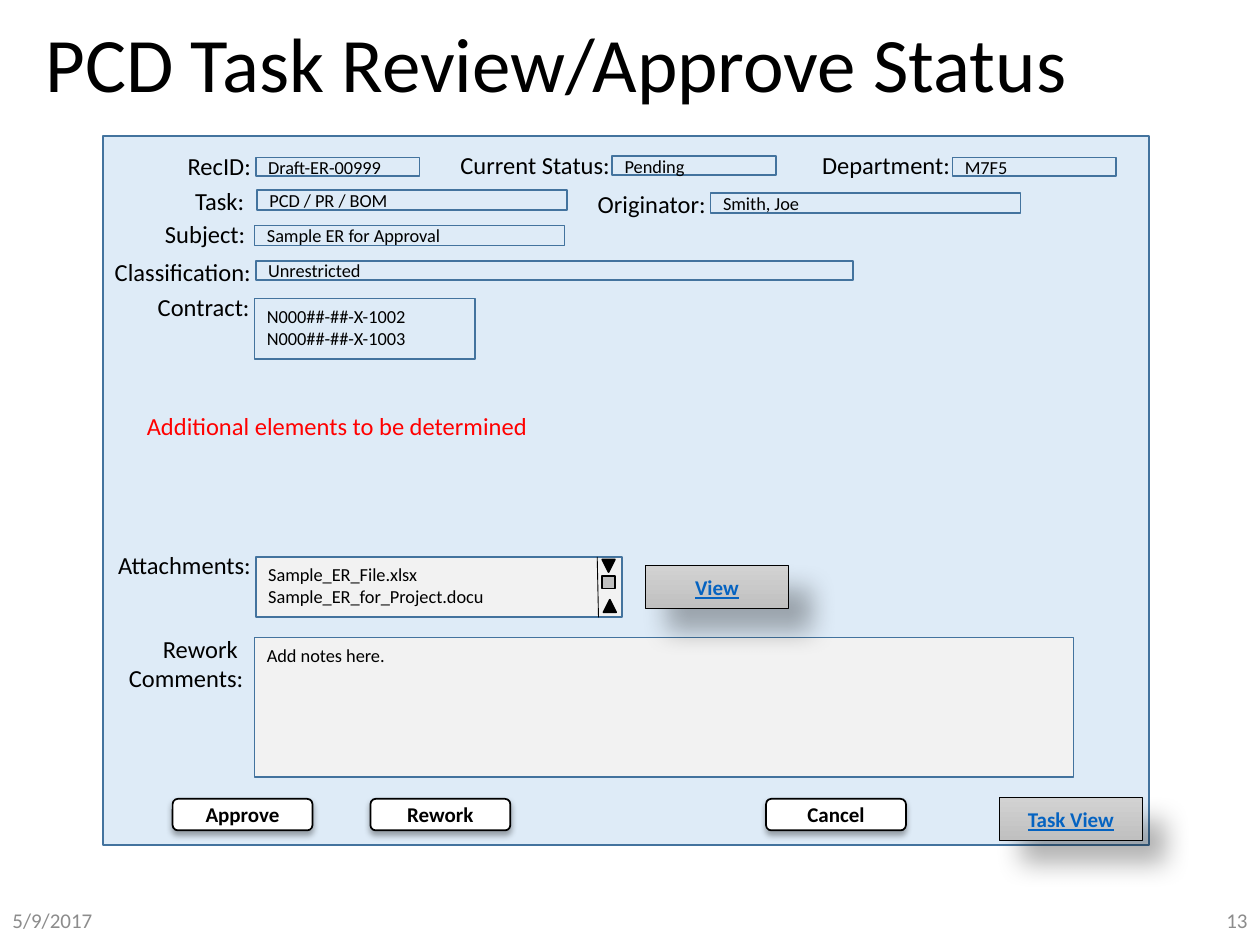
from lxml import etree
from pptx import Presentation
from pptx.dml.color import RGBColor
from pptx.enum.shapes import MSO_CONNECTOR, MSO_SHAPE
from pptx.enum.text import MSO_ANCHOR, PP_ALIGN
from pptx.oxml.ns import qn
from pptx.util import Inches, Pt

RECT, ROUND = MSO_SHAPE.RECTANGLE, MSO_SHAPE.ROUNDED_RECTANGLE
ACTION, ARROW = MSO_SHAPE.ACTION_BUTTON_CUSTOM, MSO_SHAPE.ISOSCELES_TRIANGLE
KNOB = MSO_SHAPE.FLOWCHART_PROCESS
LEFT, MID, RIGHT = PP_ALIGN.LEFT, PP_ALIGN.CENTER, PP_ALIGN.RIGHT
TOP, CENTER = MSO_ANCHOR.TOP, MSO_ANCHOR.MIDDLE

BLACK = RGBColor(0x00, 0x00, 0x00)
WHITE = RGBColor(0xFF, 0xFF, 0xFF)
PALE = RGBColor(0xDE, 0xEB, 0xF7)
BLUE = RGBColor(0x43, 0x73, 0x9E)
LINK = RGBColor(0x05, 0x63, 0xC1)
RED = RGBColor(0xFF, 0x00, 0x00)
MIST = RGBColor(0xF2, 0xF2, 0xF2)
GRAY = RGBColor(0x8C, 0x8C, 0x8C)
STEEL = RGBColor(0xBF, 0xBF, 0xBF)
LIGHT = RGBColor(0xD2, 0xD2, 0xD2)
DARK = RGBColor(0xC0, 0xC0, 0xC0)

deck = Presentation()
deck.slide_width, deck.slide_height = Inches(10), Inches(7.5)
COL, ROW = deck.slide_width / 100, deck.slide_height / 75
slide = deck.slides.add_slide(deck.slide_layouts[5])
shapes = slide.shapes


def put(kind, at, text="", fill=None, line=None, size=10.5, color=BLACK,
        align=LEFT, anchor=CENTER, bold=False, wrap=True):
    x, y, w, h = at
    area = [int(v) for v in (x * COL, y * ROW, w * COL, h * ROW)]
    if kind is None:
        shape = shapes.add_textbox(*area)
    else:
        shape = shapes.add_shape(kind, *area)
        shape.shadow.inherit = False
        if line is None:
            shape.line.fill.background()
        else:
            shape.line.color.rgb = line
            shape.line.width = Pt(1)
        if fill is None:
            shape.fill.background()
        else:
            shape.fill.solid()
            shape.fill.fore_color.rgb = fill
    if text:
        frame = shape.text_frame
        frame.text = text
        frame.word_wrap = wrap
        frame.vertical_anchor = anchor
        for para in frame.paragraphs:
            para.alignment = align
            font = para.font
            font.name, font.size, font.bold = "Calibri", Pt(size), bold
            font.color.rgb = color
    return shape


def shade(shape, alpha, blur, dist, angle):
    effect = shape._element.spPr.find(qn("a:effectLst"))
    outer = etree.SubElement(
        effect, qn("a:outerShdw"), blurRad=str(Pt(blur)), dist=str(Pt(dist)),
        dir=str(angle * 60000), algn="tl", rotWithShape="0")
    tone = etree.SubElement(outer, qn("a:srgbClr"), val=str(BLACK))
    etree.SubElement(tone, qn("a:alpha"), val=str(alpha * 1000))


title = shapes.title
title.left, title.top = int(2.6 * COL), int(ROW)
title.width, title.height = int(86.2 * COL), int(8.7 * ROW)
title.text_frame.text = "PCD Task Review/Approve Status"
title.text_frame.vertical_anchor = CENTER
head = title.text_frame.paragraphs[0]
head.alignment, head.line_spacing = LEFT, 0.9
head.font.name, head.font.size = "Calibri", Pt(44)
head.font.color.rgb = BLACK

for x, text, align in ((0, "5/9/2017", LEFT), (77.5, "13", RIGHT)):
    put(None, (x, 71, 22.5, 4), text, size=12, color=GRAY, align=align)

put(RECT, (8.2, 10.8, 83, 56.3), fill=PALE, line=BLUE)

labels = (
    ("RecID:", 12.9, 11.5, 8, True),
    ("Task: ", 12, 14.3, 8.8, True),
    ("Subject: ", 12.1, 16.9, 8.8, True),
    ("Classification:", 7.9, 19.9, 13, False),
    ("Contract:", 11.5, 22.7, 9.3, True),
    ("Current Status:", 35.4, 11.4, 14, False),
    ("Department:", 64.1, 11.4, 12.3, False),
    ("Originator: ", 46.3, 14.5, 10.7, True),
    ("Attachments:", 8.2, 43.2, 12.7, True),
    ("Rework \nComments:", 8.2, 49.8, 12.1, True),
)
for text, x, y, w, wrap in labels:
    put(None, (x, y, w, 3.4), text, size=14, align=RIGHT, anchor=TOP, wrap=wrap)

put(None, (10.5, 32.1, 32.5, 3.4), "Additional elements to be determined",
    size=14, color=RED, align=MID, anchor=TOP, wrap=False)

fields = (
    ("Draft-ER-00999", 20.3, 12.5, 13, 1.5),
    ("Pending", 48.6, 12.4, 13, 1.5),
    ("M7F5", 75.6, 12.5, 13, 1.5),
    ("PCD / PR / BOM", 20.4, 15.1, 24.6, 1.6),
    ("Smith, Joe", 56.4, 15.3, 24.6, 1.6),
    ("Sample ER for Approval", 20.2, 17.9, 24.6, 1.6),
    ("Unrestricted", 20.3, 20.7, 47.4, 1.5),
)
for text, *at in fields:
    put(RECT, at, text, line=BLUE)

areas = (
    ("N000##-##-X-1002\nN000##-##-X-1003", None, 20.2, 23.7, 17.5, 4.8),
    ("Sample_ER_File.xlsx\nSample_ER_for_Project.docu", MIST, 20.3, 44.2, 29.1, 4.8),
    ("Add notes here.", MIST, 20.2, 50.6, 65, 11.1),
)
for text, fill, *at in areas:
    put(RECT, at, text, fill=fill, line=BLUE, anchor=TOP)

edge = shapes.add_connector(
    MSO_CONNECTOR.STRAIGHT, int(47.4 * COL), int(44.2 * ROW),
    int(47.5 * COL), int(49 * ROW))
edge.line.color.rgb = BLACK
edge.line.width = Pt(0.5)
etree.SubElement(edge._element.spPr, qn("a:effectLst"))

put(ARROW, (47.9, 47.6, 1, 1), fill=BLACK, line=BLACK)
put(ARROW, (47.8, 44.4, 1, 1), fill=BLACK, line=BLACK).rotation = 180
put(KNOB, (47.8, 45.7, 1, 1), fill=STEEL, line=BLACK)

for text, x in (("Approve", 13.7), ("Rework", 29.4), ("Cancel", 60.8)):
    button = put(ROUND, (x, 63.4, 11.1, 2.5), text, fill=WHITE, line=BLACK,
                 size=12, align=MID, bold=True)
    shade(button, 32, 3.5, 2.2, 90)

for text, x, y in (("View", 51.2, 44.9), ("Task View", 79.3, 63.3)):
    button = put(ACTION, (x, y, 11.4, 3.4), text, line=BLACK, size=12,
                 color=LINK, align=MID, bold=True)
    button.line.width = Pt(0.5)
    button.text_frame.paragraphs[0].font.underline = True
    button.fill.gradient()
    button.fill.gradient_angle = 270
    for stop, tone in zip(button.fill.gradient_stops, (LIGHT, DARK)):
        stop.color.rgb = tone
    shade(button, 30, 15, 18, 45)

deck.save("out.pptx")
